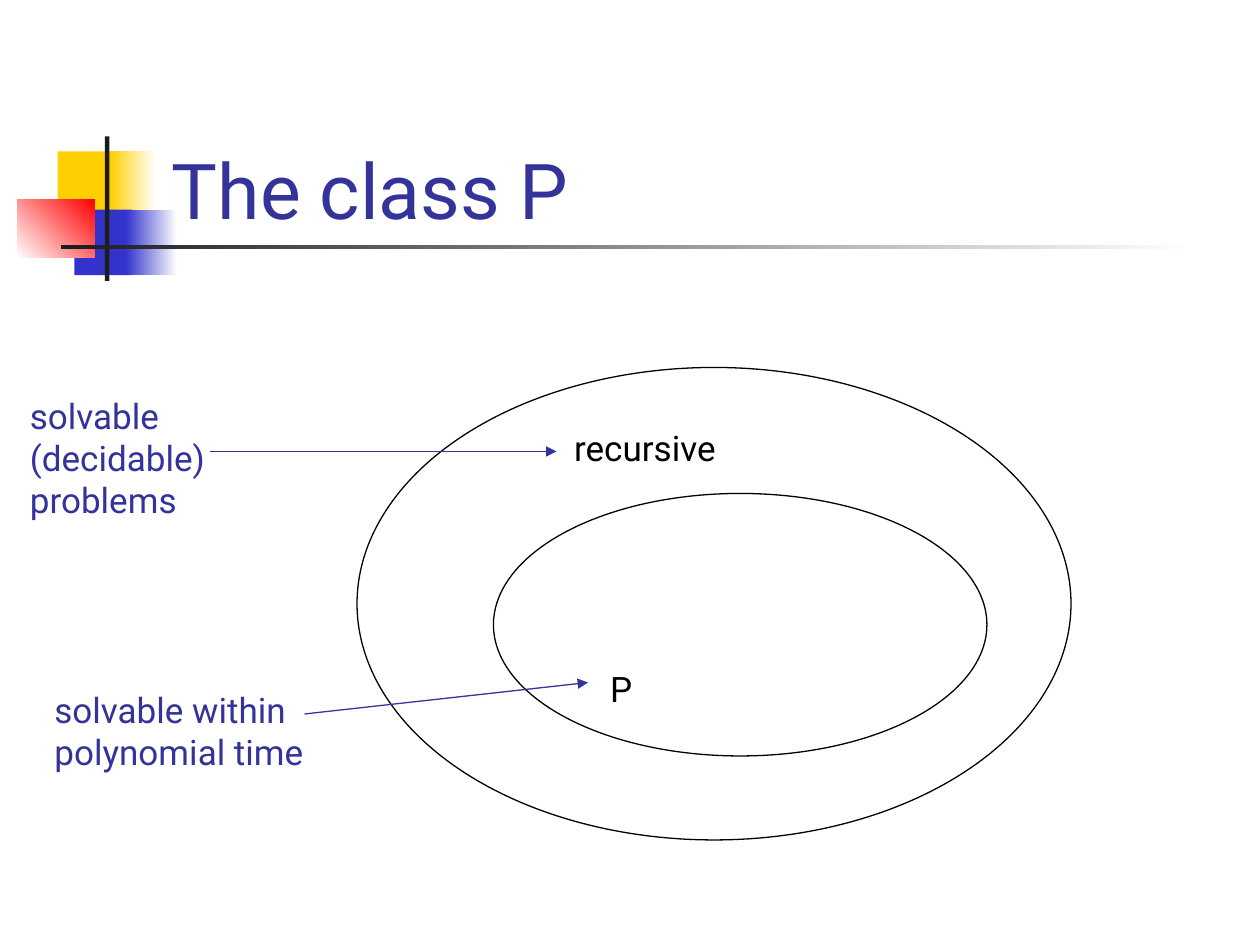
from dataclasses import dataclass
from typing import Any, Optional

from lxml.etree import SubElement
from pptx import Presentation
from pptx.dml.color import RGBColor
from pptx.enum.shapes import MSO_CONNECTOR, MSO_SHAPE
from pptx.enum.text import MSO_ANCHOR, MSO_AUTO_SIZE, PP_ALIGN
from pptx.oxml.ns import qn
from pptx.util import Pt

WHITE = RGBColor(0xFF, 0xFF, 0xFF)
BLACK = RGBColor(0x00, 0x00, 0x00)
CHARCOAL = RGBColor(0x1C, 0x1C, 0x1C)
YELLOW = RGBColor(0xFF, 0xCF, 0x01)
BLUE = RGBColor(0x33, 0x33, 0xCC)
RED = RGBColor(0xFF, 0x00, 0x00)
INDIGO = RGBColor(0x33, 0x33, 0x99)

FONT = "Roboto"
LINE_WIDTH = 0.75


@dataclass(frozen=True)
class Box:
    left: float
    top: float
    width: float
    height: float

    def lengths(self) -> list[Pt]:
        return [Pt(v) for v in (self.left, self.top, self.width, self.height)]


@dataclass(frozen=True)
class EmblemBlock:
    box: Box
    color: RGBColor
    fade_to: Optional[RGBColor] = None
    angle: float = 0


@dataclass(frozen=True)
class Label:
    box: Box
    paragraphs: tuple[tuple[str, ...], ...]
    color: RGBColor


@dataclass(frozen=True)
class Arrow:
    start: tuple[float, float]
    end: tuple[float, float]


EMBLEM = (
    EmblemBlock(Box(33, 86.5, 34.5, 37.5), YELLOW),
    EmblemBlock(Box(63, 86.5, 26, 37.5), YELLOW, WHITE),
    EmblemBlock(Box(42.5, 119.75, 33, 37.5), BLUE),
    EmblemBlock(Box(72, 119.75, 29, 37.5), BLUE, WHITE),
    EmblemBlock(Box(10, 113.75, 44, 33.5), WHITE, RED, 45),
    EmblemBlock(Box(60, 78, 2.5, 82.5), CHARCOAL),
    EmblemBlock(Box(34.75, 140, 648, 2.5), CHARCOAL, WHITE),
)
TITLE_BOX = Box(91, 48, 613.5, 90)
CLASSES = (Box(204, 210, 408, 270), Box(282, 282, 282, 150))
LABELS = (
    Label(Box(321, 240, 100, 31.5), (("recursive",),), BLACK),
    Label(Box(10, 222, 117, 79.5), (("solvable", "(decidable)"), ("problems",)), INDIGO),
    Label(Box(341.5, 378, 26.5, 31.5), (("P",),), BLACK),
    Label(Box(24, 390, 166, 55.5), (("solvable within", "polynomial time"),), INDIGO),
)
ARROWS = (Arrow((120, 258), (318, 258)), Arrow((174, 408), (336, 390)))


def apply_format(target: Any, values: dict[str, Any]) -> None:
    for attribute, value in values.items():
        setattr(target, attribute, value)


def format_font(font: Any, size: float, color: RGBColor) -> None:
    apply_format(font, {"name": FONT, "size": Pt(size)})
    font.color.rgb = color


def draw_emblem_block(slide: Any, block: EmblemBlock) -> None:
    shape = slide.shapes.add_shape(MSO_SHAPE.RECTANGLE, *block.box.lengths())
    shape.shadow.inherit = False
    shape.line.fill.background()
    if block.fade_to is None:
        shape.fill.solid()
        shape.fill.fore_color.rgb = block.color
        return
    shape.fill.gradient()
    shape.fill.gradient_angle = block.angle
    for stop, color in zip(shape.fill.gradient_stops, (block.color, block.fade_to)):
        stop.color.rgb = color


def draw_title(slide: Any, text: str) -> None:
    title = slide.shapes.title
    left, top, width, height = TITLE_BOX.lengths()
    apply_format(title, {"left": left, "top": top, "width": width, "height": height})
    apply_format(title.text_frame, {
        "text": text,
        "word_wrap": True,
        "auto_size": MSO_AUTO_SIZE.NONE,
        "vertical_anchor": MSO_ANCHOR.BOTTOM,
    })
    heading = title.text_frame.paragraphs[0]
    heading.alignment = PP_ALIGN.LEFT
    format_font(heading.runs[0].font, 44, INDIGO)
    title.element.getparent().append(title.element)


def draw_class(slide: Any, box: Box) -> None:
    ellipse = slide.shapes.add_shape(MSO_SHAPE.OVAL, *box.lengths())
    ellipse.shadow.inherit = False
    ellipse.fill.background()
    ellipse.line.color.rgb = BLACK
    ellipse.line.width = Pt(LINE_WIDTH)


def draw_label(slide: Any, label: Label) -> None:
    frame = slide.shapes.add_textbox(*label.box.lengths()).text_frame
    apply_format(frame, {"word_wrap": False, "auto_size": MSO_AUTO_SIZE.SHAPE_TO_FIT_TEXT})
    for index, lines in enumerate(label.paragraphs):
        paragraph = frame.add_paragraph() if index else frame.paragraphs[0]
        for line_number, line in enumerate(lines):
            if line_number:
                paragraph.add_line_break()
            run = paragraph.add_run()
            run.text = line
            format_font(run.font, 20, label.color)


def draw_arrow(slide: Any, arrow: Arrow) -> None:
    ends = [Pt(v) for v in (*arrow.start, *arrow.end)]
    connector = slide.shapes.add_connector(MSO_CONNECTOR.STRAIGHT, *ends)
    connector.line.color.rgb = INDIGO
    connector.line.width = Pt(LINE_WIDTH)
    SubElement(connector.line._get_or_add_ln(), qn("a:tailEnd"), type="triangle")
    SubElement(connector.element.spPr, qn("a:effectLst"))


def main() -> None:
    presentation = Presentation()
    apply_format(presentation, {"slide_width": Pt(720), "slide_height": Pt(540)})
    slide = presentation.slides.add_slide(presentation.slide_layouts[5])
    for block in EMBLEM:
        draw_emblem_block(slide, block)
    draw_title(slide, "The class P")
    for box in CLASSES:
        draw_class(slide, box)
    for label in LABELS:
        draw_label(slide, label)
    for arrow in ARROWS:
        draw_arrow(slide, arrow)
    presentation.save("out.pptx")


if __name__ == "__main__":
    main()
